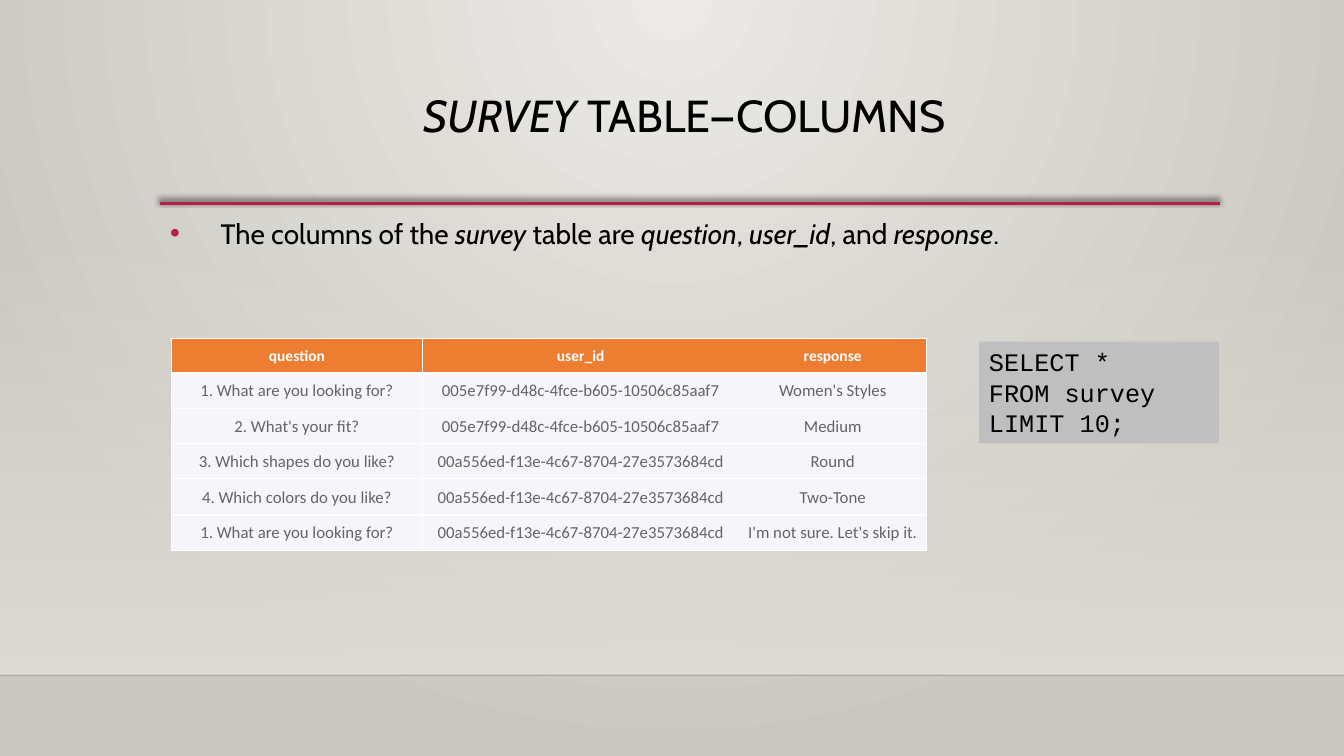
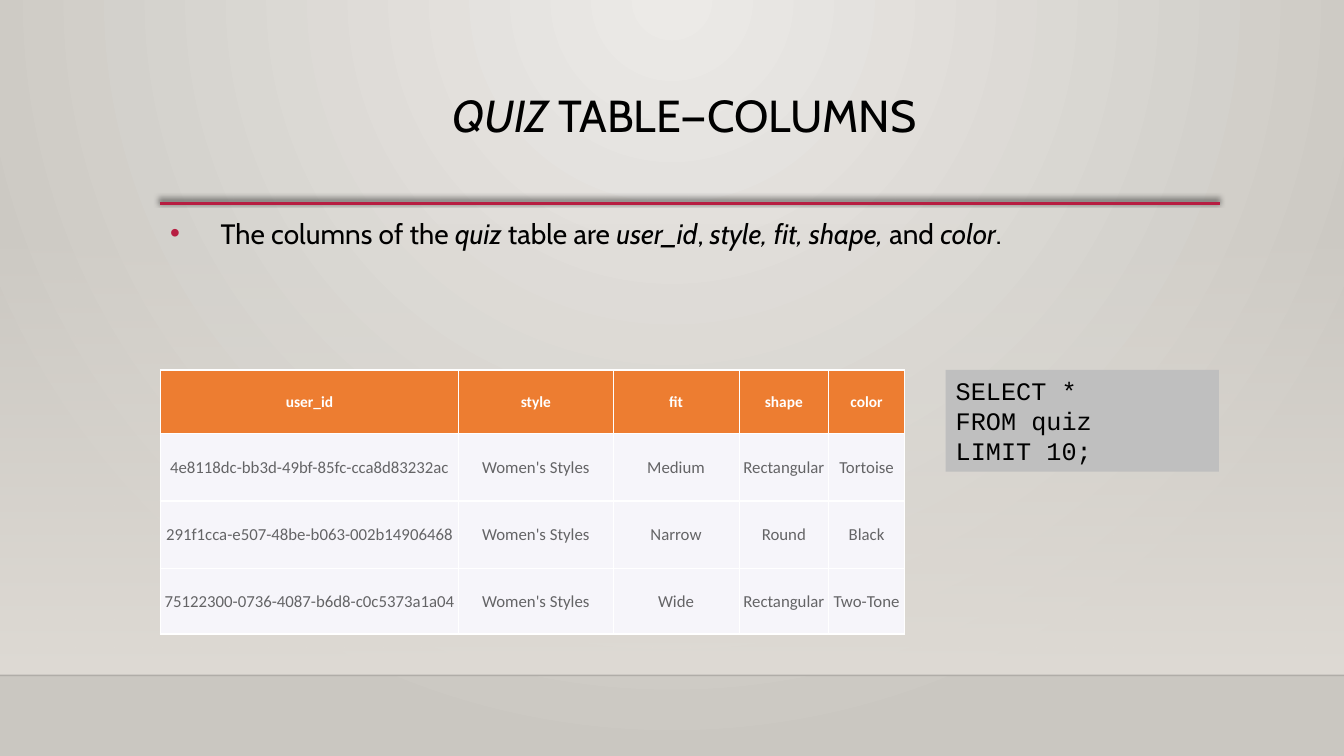
from lxml.etree import SubElement
from pptx import Presentation
from pptx.dml.color import RGBColor
from pptx.enum.shapes import MSO_CONNECTOR, MSO_SHAPE
from pptx.enum.text import MSO_ANCHOR, MSO_AUTO_SIZE, PP_ALIGN
from pptx.oxml.ns import qn
from pptx.util import Inches, Pt

# Colours and fonts
BLACK = RGBColor(0x00, 0x00, 0x00)
WHITE = RGBColor(0xFF, 0xFF, 0xFF)
CRIMSON = RGBColor(0xB7, 0x1E, 0x42)
ORANGE = RGBColor(0xED, 0x7D, 0x31)
PALE = RGBColor(0xF6, 0xF5, 0xFA)
CELL_GREY = RGBColor(0x64, 0x64, 0x66)
CODE_GREY = RGBColor(0xBF, 0xBF, 0xBF)
BACK_LIGHT = RGBColor(0xEC, 0xEA, 0xE7)
BACK_DARK = RGBColor(0xCA, 0xC7, 0xC1)
HAZE = RGBColor(0xDF, 0xDB, 0xD5)
TEXT_FONT, TABLE_FONT, CODE_FONT = "Cabin", "Calibri", "Courier New"

# Shared measures, in inches
SLIDE_W, SLIDE_H = 13.33, 7.5
LEFT, CONTENT_W = 1.59, 10.5
FLOOR_Y = 6.7


def box(*lengths):
    return [Inches(length) for length in lengths]


def add_xml(parent, tag, **attributes):
    return SubElement(parent, qn(tag), {k: str(v) for k, v in attributes.items()})


def write_text(frame, text, *, font, size, color=BLACK, bold=False,
               align=PP_ALIGN.LEFT, spacing=None, before=None,
               anchor=MSO_ANCHOR.TOP):
    """Write one paragraph per line; parts between bars are italic."""
    frame.word_wrap = True
    frame.vertical_anchor = anchor
    for number, line in enumerate(text.split("\n")):
        paragraph = frame.add_paragraph() if number else frame.paragraphs[0]
        paragraph.alignment = align
        paragraph.line_spacing = spacing
        paragraph.space_before = before
        for index, part in enumerate(line.split("|")):
            if not part:
                continue
            run = paragraph.add_run()
            run.text = part
            run.font.name = font
            run.font.size = Pt(size)
            run.font.bold = bold
            run.font.italic = index % 2 == 1
            run.font.color.rgb = color


def set_gradient(fill, first, last):
    fill.gradient()
    for stop, color in zip(fill.gradient_stops, (first, last)):
        stop.color.rgb = color


def add_alpha(shape, percent):
    add_xml(shape.element.xpath(".//a:srgbClr")[0], "a:alpha", val=percent * 1000)


def add_rule(slide, left, right, y, color, width):
    rule = slide.shapes.add_connector(
        MSO_CONNECTOR.STRAIGHT, *box(left, y, right, y))
    rule.line.color.rgb = color
    rule.line.width = Pt(width)
    effects = add_xml(rule.element.spPr, "a:effectLst")
    return rule, effects


def set_background(layout):
    set_gradient(layout.background.fill, BACK_LIGHT, BACK_DARK)
    gradient = layout.element.xpath(".//p:bg//a:gradFill")[0]
    for linear in gradient.findall(qn("a:lin")):
        gradient.remove(linear)
    glow = add_xml(gradient, "a:path", path="circle")
    add_xml(glow, "a:fillToRect", l=43000, t=0, r=43000, b=100000)


def move_backdrop(slide, layout):
    """Draw the haze and both rules, then hand them to the layout."""
    haze = slide.shapes.add_shape(
        MSO_SHAPE.RECTANGLE, *box(0, 2.21, SLIDE_W, FLOOR_Y - 2.21))
    haze.shadow.inherit = False
    haze.line.fill.background()
    set_gradient(haze.fill, HAZE, HAZE)
    haze.fill.gradient_angle = 270
    add_alpha(haze, 0)

    floor, _ = add_rule(slide, 0, SLIDE_W, FLOOR_Y, BLACK, 1)
    add_alpha(floor, 20)

    title_rule, effects = add_rule(slide, LEFT, 12.1, 2.02, CRIMSON, 2.5)
    shadow = add_xml(effects, "a:outerShdw", blurRad=Pt(4), dist=Pt(3),
                     dir=245 * 60000, algn="ctr", rotWithShape=0)
    add_xml(add_xml(shadow, "a:srgbClr", val=BLACK), "a:alpha", val=60000)

    for part in (haze, floor, title_rule):
        layout.shapes.element.append(part.element)


def add_title(slide, text):
    title = slide.shapes.title
    title.left, title.top, title.width, title.height = box(
        LEFT, 0.88, CONTENT_W, 1.15)
    title.text_frame.auto_size = MSO_AUTO_SIZE.NONE
    write_text(title.text_frame, text, font=TEXT_FONT, size=32,
               align=PP_ALIGN.CENTER, spacing=0.9)


def add_bullet(slide, text):
    frame = slide.shapes.add_textbox(*box(LEFT, 2.03, CONTENT_W, 0.47)).text_frame
    frame.auto_size = MSO_AUTO_SIZE.SHAPE_TO_FIT_TEXT
    write_text(frame, text, font=TEXT_FONT, size=20, spacing=1.2, before=Pt(10))
    properties = frame.paragraphs[0]._p.get_or_add_pPr()
    properties.set("marL", str(Inches(0.5)))
    properties.set("indent", str(Inches(-0.5)))
    add_xml(add_xml(properties, "a:buClr"), "a:srgbClr", val=CRIMSON)
    add_xml(properties, "a:buFont", typeface="Arial")
    add_xml(properties, "a:buChar", char="•")


def add_query(slide, left, top, width, text):
    query = slide.shapes.add_shape(
        MSO_SHAPE.RECTANGLE, *box(left, top, width, 1.01))
    query.shadow.inherit = False
    query.fill.solid()
    query.fill.fore_color.rgb = CODE_GREY
    query.line.fill.background()
    query.text_frame.auto_size = MSO_AUTO_SIZE.SHAPE_TO_FIT_TEXT
    write_text(query.text_frame, text, font=CODE_FONT, size=18)


def set_borders(cell, left, right):
    """Draw white cell borders; a width of 0 leaves that side open."""
    properties = cell._tc.get_or_add_tcPr()
    sides = {"a:lnL": left, "a:lnR": right, "a:lnT": 1, "a:lnB": 1}
    for tag, width in sides.items():
        border = add_xml(properties, tag, w=Pt(width))
        if width:
            add_xml(add_xml(border, "a:solidFill"), "a:srgbClr", val=WHITE)
        else:
            add_xml(border, "a:noFill")


def add_data_table(slide, left, top, widths, heights, edges, rows):
    """Draw a header and data rows; edges are the vertical border widths."""
    table = slide.shapes.add_table(
        len(rows), len(widths),
        *box(left, top, sum(widths), sum(heights))).table
    table.first_row = table.horz_banding = False
    for column, width in zip(table.columns, widths):
        column.width = Inches(width)
    for row, height in zip(table.rows, heights):
        row.height = Inches(height)
    for r, values in enumerate(rows):
        header = r == 0
        for c, value in enumerate(values):
            cell = table.cell(r, c)
            set_borders(cell, edges[c], edges[c + 1])
            cell.fill.solid()
            cell.fill.fore_color.rgb = ORANGE if header else PALE
            cell.margin_left = cell.margin_right = cell.margin_top = Inches(0.01)
            cell.margin_bottom = 0
            cell.vertical_anchor = MSO_ANCHOR.MIDDLE
            write_text(cell.text_frame, value, font=TABLE_FONT,
                       size=11 if header else 12, bold=header,
                       color=WHITE if header else CELL_GREY,
                       align=PP_ALIGN.CENTER, anchor=None)


def add_survey(slide):
    add_title(slide, "|SURVEY |TABLE—COLUMNS ")
    add_query(slide, 9.71, 3.39, 2.38, "SELECT *\nFROM survey\nLIMIT 10;")
    add_bullet(slide, "The columns of the |survey| table are |question|, "
                      "|user_id|, and |response|.")
    first_user = "005e7f99-d48c-4fce-b605-10506c85aaf7"
    second_user = "00a556ed-f13e-4c67-8704-27e3573684cd"
    add_data_table(
        slide, 1.7, 3.36, [2.49, 3.14, 1.86],
        [0.34, 0.35, 0.35, 0.35, 0.36, 0.35], [1, 1, 0, 1],
        [("question", "user_id", "response"),
         ("1. What are you looking for?", first_user, "Women's Styles"),
         ("2. What's your fit?", first_user, "Medium"),
         ("3. Which shapes do you like?", second_user, "Round"),
         ("4. Which colors do you like?", second_user, "Two-Tone"),
         ("1. What are you looking for?", second_user,
          "I'm not sure. Let's skip it.")])


def add_quiz(slide):
    add_title(slide, "|QUIZ |TABLE—COLUMNS ")
    add_query(slide, 9.38, 3.67, 2.71, "SELECT *\nFROM quiz\nLIMIT 10;")
    add_bullet(slide, "The columns of the |quiz| table are |user_id|, "
                      "|style, fit, shape, |and |color|.")
    style = "Women's Styles"
    add_data_table(
        slide, LEFT, 3.67, [2.96, 1.53, 1.25, 0.89, 0.75],
        [0.63, 0.67, 0.67, 0.65], [1, 1, 0.5, 0.5, 1, 0.5],
        [("user_id", "style", "fit", "shape", "color"),
         ("4e8118dc-bb3d-49bf-85fc-cca8d83232ac", style, "Medium",
          "Rectangular", "Tortoise"),
         ("291f1cca-e507-48be-b063-002b14906468", style, "Narrow",
          "Round", "Black"),
         ("75122300-0736-4087-b6d8-c0c5373a1a04", style, "Wide",
          "Rectangular", "Two-Tone")])


def main():
    deck = Presentation()
    deck.slide_width, deck.slide_height = box(SLIDE_W, SLIDE_H)
    layout = deck.slide_layouts.get_by_name("Title Only")
    survey, quiz = [deck.slides.add_slide(layout) for _ in range(2)]
    set_background(layout)
    move_backdrop(survey, layout)
    add_survey(survey)
    add_quiz(quiz)
    deck.save("out.pptx")


if __name__ == "__main__":
    main()
